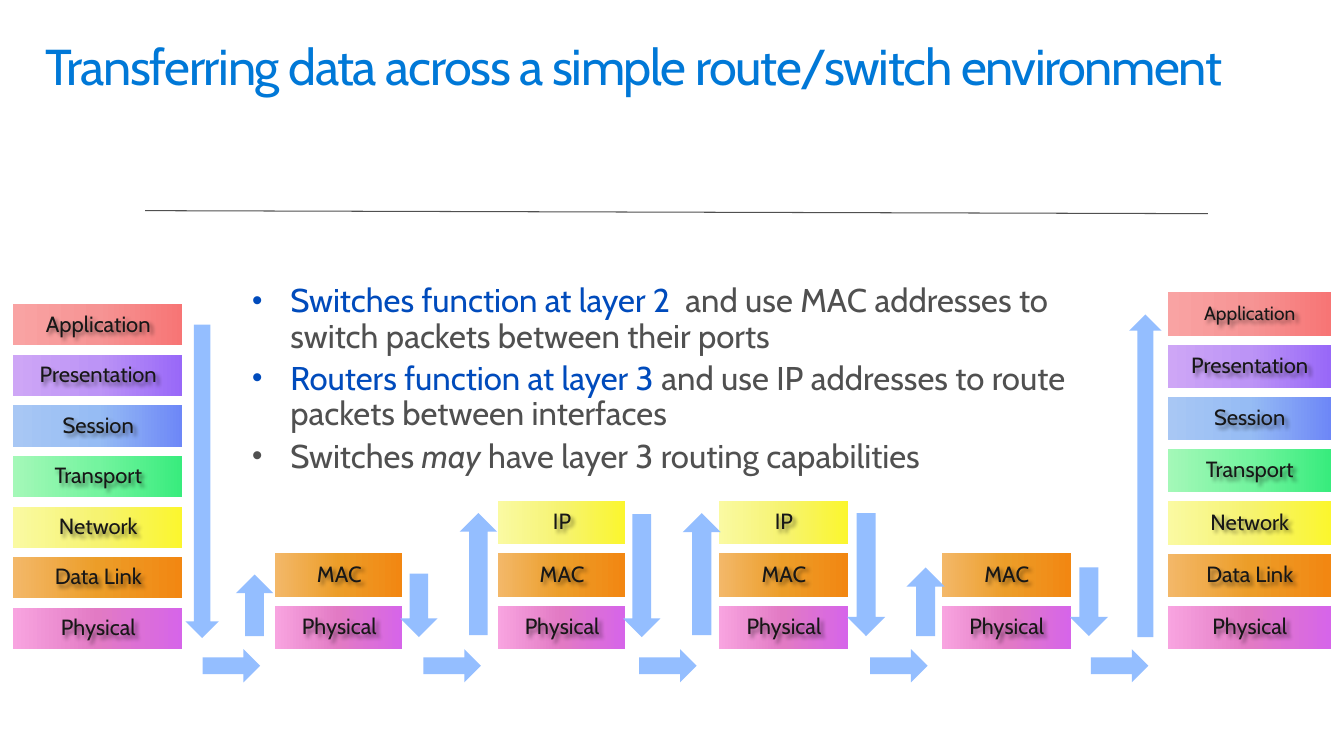
from copy import deepcopy
from dataclasses import dataclass

from lxml import etree
from pptx import Presentation
from pptx import util as u
from pptx.dml.color import RGBColor
from pptx.enum import shapes, text
from pptx.oxml import parse_xml
from pptx.oxml.ns import nsdecls, qn


@dataclass(frozen=True)
class Theme:
    font: str = "Cabin"
    title: str = "0078D7"
    highlight: str = "004BBC"
    body: str = "505050"
    label: str = "171717"
    arrow: str = "94BEFF"
    title_size: float = 36
    body_size: float = 23.5
    label_size: float = 15.7
    small_label_size: float = 13.7


theme = Theme()
layer_colors = {
    "Physical": ("F8A4E0", "E27AC4", "D665E9"),
    "Data Link": ("F3B869", "EC9D28", "F28712"),
    "Network": ("FAFAA2", "F6F371", "FBF62E"),
    "Transport": ("A4F8B8", "74F49F", "38EC7D"),
    "Session": ("A8C7F4", "96BCF4", "6D87F7"),
    "Presentation": ("CEA6F6", "BC94F6", "9868F8"),
    "Application": ("F9A3A3", "F69494", "F77575"),
}
short_names = {"Network": "IP", "Data Link": "MAC"}

presentation = Presentation()
presentation.slide_width = u.Inches(13.33)
presentation.slide_height = u.Inches(7.5)
column = presentation.slide_width / 13.33
row = presentation.slide_height / 7.5


def cells(left, top, width, height):
    """Turn grid columns and rows into slide lengths."""
    return round(left * column), round(top * row), round(width * column), round(height * row)


def write_text(paragraph, words, size, color, italic=False, tracking=0):
    """Add one formatted run to a paragraph."""
    paragraph.line_spacing = 0.9
    run = paragraph.add_run()
    run.text = words
    run.font.name = theme.font
    run.font.size = u.Pt(size)
    run.font.italic = italic
    run.font.color.rgb = RGBColor.from_string(color)
    if tracking:
        run.font._element.set("spc", str(tracking * 100))


slide = presentation.slides.add_slide(presentation.slide_layouts[5])

# Title
title = slide.shapes.title
title.left, title.top, title.width, title.height = cells(0.29, 0.32, 12.75, 0.98)
frame = title.text_frame
frame.auto_size = text.MSO_AUTO_SIZE.NONE
frame.vertical_anchor = text.MSO_ANCHOR.TOP
frame.margin_left = frame.margin_right = u.Inches(0.16)
frame.margin_top = frame.margin_bottom = u.Inches(0.1)
frame.paragraphs[0].alignment = text.PP_ALIGN.LEFT
write_text(frame.paragraphs[0], "Transferring data across a simple route/switch environment",
           theme.title_size, theme.title, tracking=-1)

# Rule under the title
start_x, start_y, end_x, end_y = cells(1.44, 2.09, 11.98, 2.12)
rule = slide.shapes.add_connector(shapes.MSO_CONNECTOR.STRAIGHT, start_x, start_y, end_x, end_y)
rule.line.color.rgb = RGBColor.from_string(theme.body)
rule.line.width = u.Pt(0.75)
etree.SubElement(rule._element.spPr, qn("a:effectLst"))

# Layer stacks, built upward from a shared base: left, width, layers, pitch, height
base = 6.44
stacks = [
    (0.13, 1.68, 7, 0.502, 0.41),
    (2.73, 1.26, 2, 0.52, 0.43),
    (4.94, 1.26, 3, 0.52, 0.43),
    (7.13, 1.28, 3, 0.52, 0.43),
    (9.34, 1.28, 2, 0.52, 0.43),
    (11.58, 1.62, 7, 0.518, 0.43),
]
for left, width, layer_count, pitch, height in stacks:
    for level, (layer, colors) in enumerate(list(layer_colors.items())[:layer_count]):
        top = base - height - level * pitch
        block = slide.shapes.add_shape(shapes.MSO_SHAPE.RECTANGLE,
                                       *cells(left, top, width, height))
        block.shadow.inherit = False
        block.line.fill.background()
        block.fill.gradient()
        block.fill.gradient_angle = 0
        stop_list = block._element.spPr.find(".//" + qn("a:gsLst"))
        stop_list.insert(1, deepcopy(stop_list[0]))
        for stop, color, position in zip(block.fill.gradient_stops, colors, (0, 0.5, 1)):
            stop.color.rgb = RGBColor.from_string(color)
            stop.position = position

        # Label with a soft text shadow
        label = slide.shapes.add_textbox(*cells(left + 0.01, top - 0.1, width - 0.01, height + 0.2))
        label._element.spPr.append(parse_xml(
            f'<a:effectLst {nsdecls("a")}><a:outerShdw blurRad="38100" dist="38100" dir="2700000">'
            '<a:srgbClr val="000000"><a:alpha val="43000"/></a:srgbClr>'
            '</a:outerShdw></a:effectLst>'))
        frame = label.text_frame
        frame.word_wrap = True
        frame.vertical_anchor = text.MSO_ANCHOR.MIDDLE
        frame.margin_left = frame.margin_right = u.Inches(0.2)
        frame.margin_top = frame.margin_bottom = u.Inches(0.16)
        frame.paragraphs[0].alignment = text.PP_ALIGN.CENTER
        name = short_names.get(layer, layer) if layer_count < 7 else layer
        is_small = layer == "Application" and left > 11
        write_text(frame.paragraphs[0], name,
                   theme.small_label_size if is_small else theme.label_size, theme.label)

# Arrows up and down the stacks, then along the links between them
up, down, right = (shapes.MSO_SHAPE.UP_ARROW, shapes.MSO_SHAPE.DOWN_ARROW,
                   shapes.MSO_SHAPE.RIGHT_ARROW)
arrows = [
    (down, 1.84, 3.22, 0.33, 3.11),
    (up, 2.34, 5.7, 0.37, 0.61),
    (down, 3.97, 5.69, 0.37, 0.63),
    (up, 4.56, 5.09, 0.37, 1.21),
    (down, 6.18, 5.1, 0.37, 1.22),
    (up, 6.77, 5.09, 0.38, 1.21),
    (down, 8.4, 5.09, 0.38, 1.22),
    (up, 8.99, 5.63, 0.38, 0.68),
    (down, 10.61, 5.63, 0.38, 0.68),
    (up, 11.2, 3.12, 0.32, 3.2),
]
arrows += [(right, left, 6.44, 0.57, 0.33) for left in (2.01, 4.2, 6.34, 8.63, 10.82)]
for kind, *place in arrows:
    arrow = slide.shapes.add_shape(kind, *cells(*place))
    arrow.shadow.inherit = False
    arrow.fill.solid()
    arrow.fill.fore_color.rgb = RGBColor.from_string(theme.arrow)
    arrow.line.fill.background()

# Bullet points: runs of words, colour, italic
points = [
    [("Switches function at layer 2 ", theme.highlight, False),
     (" and use MAC addresses to switch packets between their ports", theme.body, False)],
    [("Routers function at layer 3", theme.highlight, False),
     (" and use IP addresses to route packets between interfaces", theme.body, False)],
    [("Switches ", theme.body, False), ("may ", theme.body, True),
     ("have layer 3 routing capabilities", theme.body, False)],
]
notes = slide.shapes.add_textbox(*cells(2.34, 2.72, 8.64, 2.14))
frame = notes.text_frame
frame.word_wrap = True
frame.margin_left = frame.margin_right = u.Inches(0.16)
frame.margin_top = frame.margin_bottom = u.Inches(0.1)
for index, runs in enumerate(points):
    paragraph = frame.add_paragraph() if index else frame.paragraphs[0]
    properties = paragraph._p.get_or_add_pPr()
    properties.set("marL", str(u.Inches(0.38)))
    properties.set("indent", str(-u.Inches(0.38)))
    etree.SubElement(properties, qn("a:buSzPct")).set("val", "90000")
    etree.SubElement(properties, qn("a:buFont")).set("typeface", "Arial")
    etree.SubElement(properties, qn("a:buChar")).set("char", "•")
    if index:
        paragraph.space_before = u.Pt(theme.body_size * 0.2)
    for words, color, italic in runs:
        write_text(paragraph, words, theme.body_size, color, italic=italic)

presentation.save("out.pptx")
